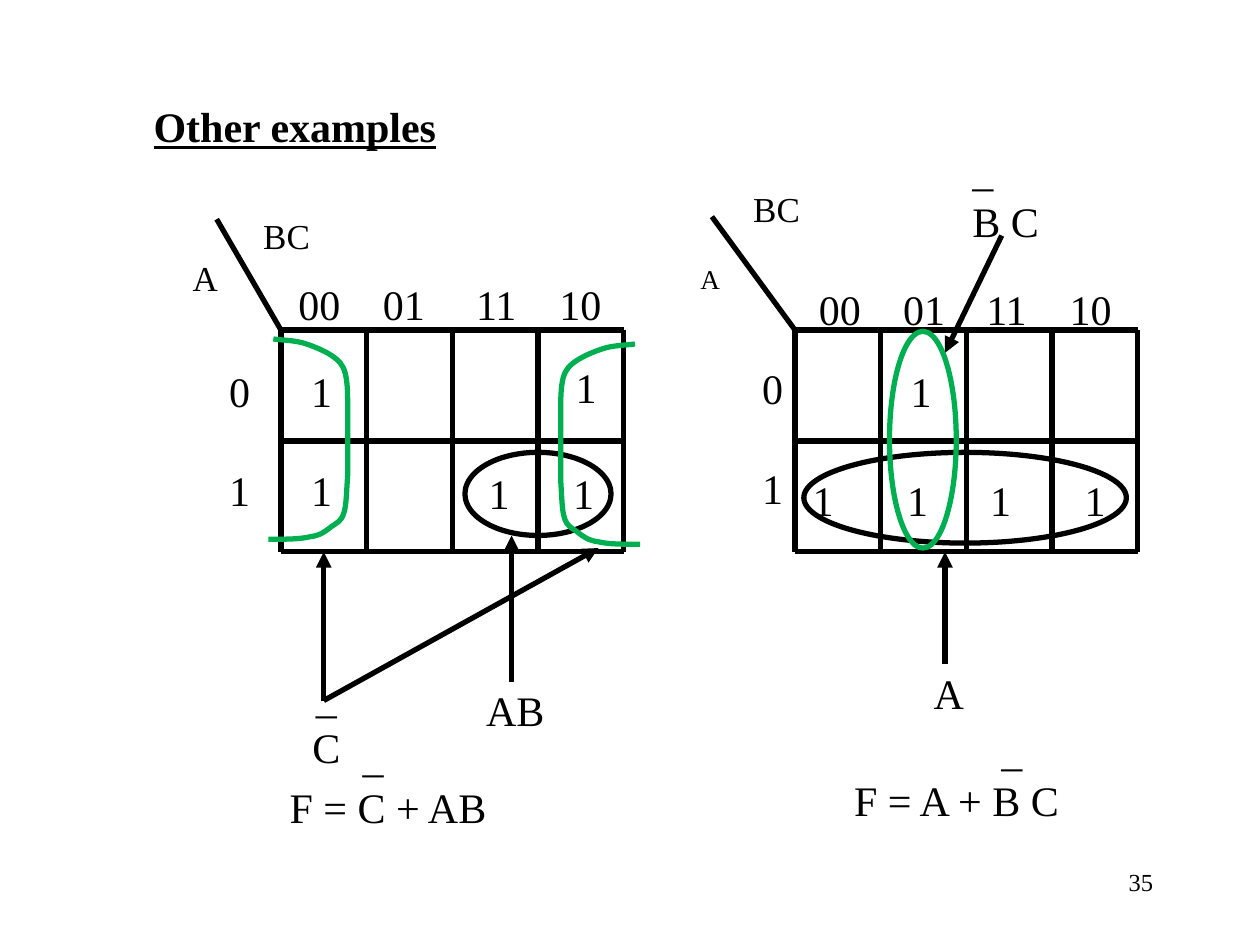
from itertools import chain

from pptx import Presentation
from pptx.dml.color import RGBColor
from pptx.enum.shapes import MSO_CONNECTOR as Connector, MSO_SHAPE as Shape
from pptx.enum.text import PP_ALIGN as Align
from pptx.oxml.ns import qn
from pptx.util import Inches, Pt
from lxml.etree import SubElement

THEME = {
    "font": "Times New Roman",
    "ink": RGBColor(0x00, 0x00, 0x00),
    "loop": RGBColor(0x00, 0xB0, 0x50),
    "paper": RGBColor(0xFF, 0xFF, 0xFF),
    "body": 24, "axis": 20, "small_axis": 15.5, "page_number": 14,
    "line": 3,
}

# Karnaugh maps: left edge and outer end of the corner diagonal
MAPS = [(2.23, (1.72, 1.74)), (6.31, (5.65, 1.72))]
TOP, CELL_WIDTH, CELL_HEIGHT, COLUMNS, ROWS = 2.62, 0.68, 0.88, 4, 2

ARROWS = [
    ((2.57, 5.56), (2.57, 4.38)),
    ((2.57, 5.56), (4.75, 4.35)),
    ((4.06, 5.41), (4.06, 4.25)),
    ((7.5, 5.27), (7.5, 4.38)),
    ((7.95, 1.87), (7.5, 2.8)),
]

LOOPS = [
    ((3.69, 3.59, 1.16, 0.66), "ink"),
    ((6.38, 3.59, 2.56, 0.72), "ink"),
    ((7.06, 2.63, 0.53, 1.72), "loop"),
]

# Open bracket around column 00: a start point, then cubic curves of three points each
BRACKET = [
    (2.17, 2.69), (2.24, 2.7), (2.32, 2.7), (2.4, 2.72),
    (2.47, 2.74), (2.57, 2.78), (2.63, 2.82),
    (2.69, 2.86), (2.72, 2.89), (2.74, 2.96),
    (2.76, 3.04), (2.76, 3.13), (2.76, 3.26),
    (2.76, 3.4), (2.76, 3.64), (2.76, 3.77),
    (2.75, 3.91), (2.75, 4.01), (2.73, 4.07),
    (2.71, 4.14), (2.67, 4.15), (2.63, 4.18),
    (2.58, 4.22), (2.54, 4.25), (2.46, 4.26),
    (2.38, 4.28), (2.26, 4.28), (2.13, 4.28),
]
MIRROR_SUM, MIRROR_DROP = 7.21, 0.04

# Text: place, paragraphs, options
TEXTS = [
    ((1.12, 0.75, 2.45, 0.5), ["Other examples"], {"title": True}),
    ((1.43, 1.99, 0.59, 0.72), ["A"], {"size": "axis"}),
    ((1.99, 1.65, 0.68, 0.59), ["BC"], {"size": "axis"}),
    ((5.46, 2.03, 0.38, 0.37), ["A"], {"size": "small_axis", "fill": "paper"}),
    ((5.88, 1.44, 0.6, 0.52), ["BC"], {"size": "axis", "fill": "paper"}),
    ((2.27, 2.16, 2.78, 0.5), ["00\t01\t11\t10"], {"tabs": [0.67, 1.41, 2.07]}),
    ((6.4, 2.2, 2.7, 0.5), ["00\t01\t11\t10"], {"tabs": [0.67, 1.33, 1.99]}),
    ((1.72, 2.85, 0.36, 1.3), ["0", "1"], {"gap": 28}),
    ((5.95, 2.83, 0.36, 1.3), ["0", "1"], {"gap": 28}),
    ((2.37, 2.85, 0.52, 1.3), ["1", "1"], {"gap": 28}),
    ((4.47, 2.82, 0.36, 0.5), ["1"], {"align": Align.CENTER}),
    ((3.78, 3.66, 1.1, 0.5), ["1\t1"], {"tabs": [0.67]}),
    ((7.13, 2.85, 0.36, 0.5), ["1"], {"align": Align.CENTER}),
    ((6.35, 3.72, 2.61, 0.5), ["1\t1\t1\t1"], {"tabs": [0.75, 1.41, 2.16]}),
    ((2.38, 5.28, 0.42, 0.9), ["_", "C"], {"align": Align.CENTER}),
    ((3.76, 5.38, 0.66, 0.5), ["AB"], {}),
    ((7.31, 5.25, 0.44, 0.5), ["A"], {"align": Align.CENTER}),
    ((7.62, 1.1, 0.73, 0.9), ["_", "B C"], {}),
    ((2.2, 5.75, 1.78, 0.9), ["_", "F = C + AB"], {"bar_indent": 0.58}),
    ((6.68, 5.7, 1.86, 0.9), ["_", "F = A + B C"], {"bar_indent": 1.17}),
    ((7.17, 6.83, 2.08, 0.5), ["35"], {"size": "page_number", "align": Align.RIGHT}),
]


def inches(values):
    return [Inches(value) for value in values]


def style_line(line, color="ink"):
    line.color.rgb = THEME[color]
    line.width = Pt(THEME["line"])


def add_line(slide, start, end, arrow=False):
    connector = slide.shapes.add_connector(Connector.STRAIGHT, *inches(start + end))
    style_line(connector.line)
    properties = connector._element.spPr
    if arrow:
        SubElement(properties.get_or_add_ln(), qn("a:tailEnd"), type="triangle")
    SubElement(properties, qn("a:effectLst"))


def add_map(slide, left, diagonal_end):
    right, bottom = left + COLUMNS * CELL_WIDTH, TOP + ROWS * CELL_HEIGHT
    for row in range(ROWS + 1):
        y = TOP + row * CELL_HEIGHT
        add_line(slide, (left, y), (right, y))
    for column in range(COLUMNS + 1):
        x = left + column * CELL_WIDTH
        add_line(slide, (x, TOP), (x, bottom))
    add_line(slide, (left, TOP), diagonal_end)


def outline(shape, color):
    shape.shadow.inherit = False
    shape.fill.background()
    style_line(shape.line, color)


def add_bracket(slide, points):
    """Build a freeform through the curve ends, then bend each segment into a cubic."""
    start, *rest = [inches(point) for point in points]
    builder = slide.shapes.build_freeform(*start)
    builder.add_line_segments(rest[2::3], close=False)
    bracket = builder.convert_to_shape()
    segments = list(bracket._element.iter(qn("a:lnTo")))
    for index, segment in enumerate(segments):
        curve = SubElement(segment.getparent(), qn("a:cubicBezTo"))
        for x, y in rest[3 * index:3 * index + 3]:
            SubElement(curve, qn("a:pt"), x=str(x - bracket.left), y=str(y - bracket.top))
        segment.getparent().remove(segment)
    outline(bracket, "loop")


def add_text(slide, place, lines, size="body", align=Align.LEFT, tabs=(), gap=0,
             bar_indent=0, fill=None, title=False):
    """Write lines; gap separates them, bar_indent shifts the overbar on the first."""
    box = slide.shapes.add_textbox(*inches(place))
    if fill:
        box.fill.solid()
        box.fill.fore_color.rgb = THEME[fill]
    frame = box.text_frame
    frame.word_wrap = bool(tabs or bar_indent or size != "body")
    for index, line in enumerate(lines):
        para = frame.add_paragraph() if index else frame.paragraphs[0]
        para.text = line
        para.alignment = align
        properties = para._p.get_or_add_pPr()
        if index and gap:
            para.space_before = Pt(gap)
        if bar_indent and index == 0:
            properties.set("marL", str(Inches(bar_indent)))
        if tabs:
            stops = SubElement(properties, qn("a:tabLst"))
            for stop in tabs:
                SubElement(stops, qn("a:tab"), pos=str(Inches(stop)), algn="l")
        font = para.font
        font.name, font.size = THEME["font"], Pt(THEME[size])
        font.color.rgb = THEME["ink"]
        if title:
            font.bold = font.underline = True


def main():
    deck = Presentation()
    deck.slide_width, deck.slide_height = Inches(10), Inches(7.5)
    slide = deck.slides.add_slide(deck.slide_layouts[6])
    for left, diagonal_end in MAPS:
        add_map(slide, left, diagonal_end)
    for start, end in ARROWS:
        add_line(slide, start, end, arrow=True)
    for place, color in LOOPS:
        outline(slide.shapes.add_shape(Shape.OVAL, *inches(place)), color)
    mirrored = [(MIRROR_SUM - x, y + MIRROR_DROP) for x, y in BRACKET]
    for points in (BRACKET, mirrored):
        add_bracket(slide, points)
    for place, lines, options in TEXTS:
        add_text(slide, place, lines, **options)
    deck.save("out.pptx")


if __name__ == "__main__":
    main()
